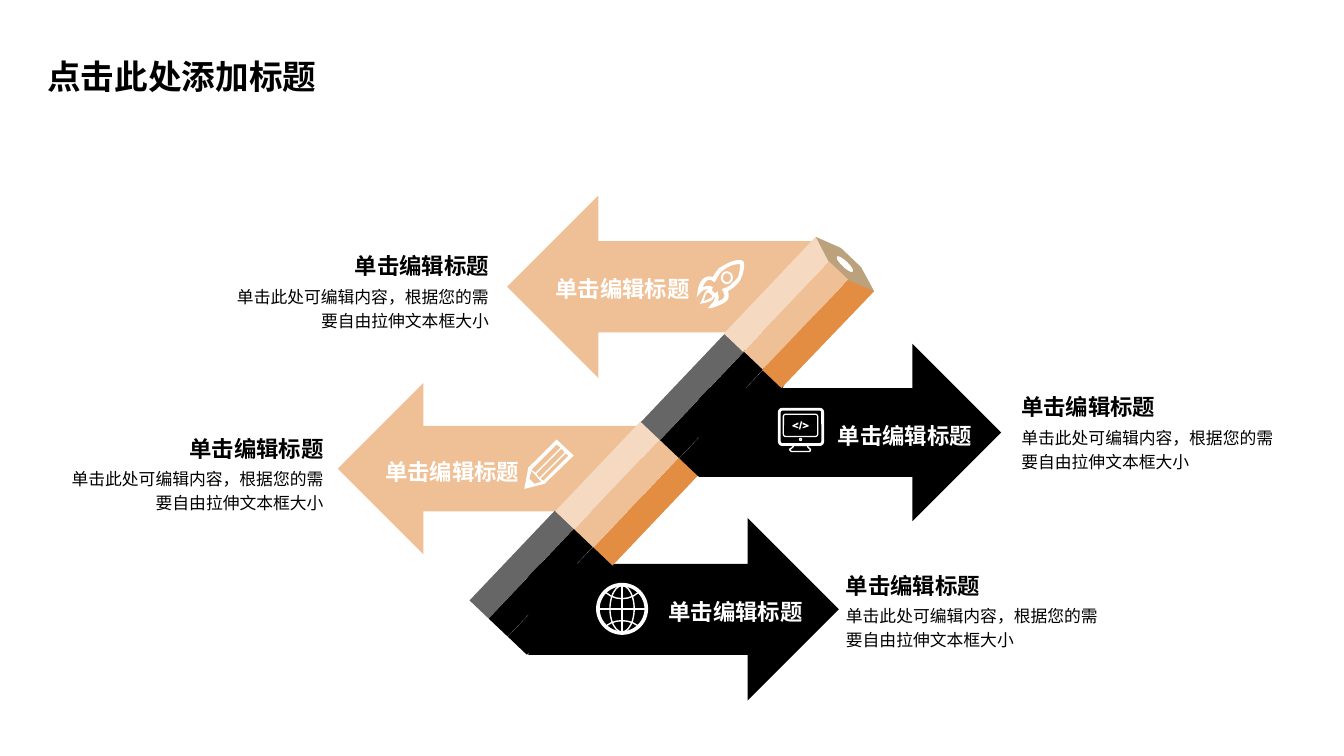
from dataclasses import dataclass

from lxml import etree
from pptx import Presentation
from pptx.dml.color import RGBColor
from pptx.enum.shapes import MSO_CONNECTOR, MSO_SHAPE
from pptx.enum.text import MSO_ANCHOR, PP_ALIGN
from pptx.oxml.ns import qn
from pptx.util import Inches, Pt

ARROW, RECT, OVAL = MSO_SHAPE.LEFT_ARROW, MSO_SHAPE.RECTANGLE, MSO_SHAPE.OVAL
ROUNDED = MSO_SHAPE.ROUNDED_RECTANGLE
STRAIGHT = MSO_CONNECTOR.STRAIGHT
LEFT, RIGHT = PP_ALIGN.LEFT, PP_ALIGN.RIGHT
TOP, MIDDLE = MSO_ANCHOR.TOP, MSO_ANCHOR.MIDDLE


@dataclass(frozen=True)
class Theme:
    black: str = "000000"
    white: str = "FFFFFF"
    gray: str = "666666"
    peach: str = "EFC096"
    pale: str = "F5D9C0"
    orange: str = "E28D42"
    wood: str = "BBA17C"
    font: str = "Arial"
    cjk_font: str = "Noto Sans CJK SC"
    title_size: int = 24
    heading_size: int = 16
    body_size: int = 12
    line_spacing: float = 1.2


def flatten(contour, steps=6):
    """Turn points and (control, control, end) curves into points in EMU."""
    points = []
    for part in contour:
        if len(part) == 2:
            points.append(part)
            continue
        x0, y0 = points[-1]
        x1, y1, x2, y2, x3, y3 = part
        for i in range(1, steps + 1):
            t = i / steps
            a, b, c, d = (1 - t) ** 3, 3 * t * (1 - t) ** 2, 3 * t * t * (1 - t), t ** 3
            points.append((a * x0 + b * x1 + c * x2 + d * x3,
                           a * y0 + b * y1 + c * y2 + d * y3))
    return [(Inches(x), Inches(y)) for x, y in points]


class SlideBuilder:
    def __init__(self, slide, theme):
        self.slide, self.theme = slide, theme

    def paint(self, shape, fill=None, line=None, width=1):
        shape.shadow.inherit = False
        if fill:
            shape.fill.solid()
            shape.fill.fore_color.rgb = RGBColor.from_string(fill)
        else:
            shape.fill.background()
        if line:
            shape.line.color.rgb = RGBColor.from_string(line)
            shape.line.width = Pt(width)
        else:
            shape.line.fill.background()

    def shape(self, kind, box, fill=None, rotation=0, line=None, width=1):
        shape = self.slide.shapes.add_shape(kind, *map(Inches, box))
        shape.rotation = rotation
        self.paint(shape, fill, line, width)
        return shape

    def outline(self, contours, fill=None, line=None, width=1, close=True):
        first, *others = [flatten(contour) for contour in contours]
        builder = self.slide.shapes.build_freeform(*first[0])
        builder.add_line_segments(first[1:], close=close)
        for points in others:
            builder.move_to(*points[0])
            builder.add_line_segments(points[1:], close=close)
        self.paint(builder.convert_to_shape(), fill, line, width)

    def line(self, x1, y1, x2, y2, color, width):
        line = self.slide.shapes.add_connector(STRAIGHT, *map(Inches, (x1, y1, x2, y2)))
        line.line.color.rgb = RGBColor.from_string(color)
        line.line.width = Pt(width)
        etree.SubElement(line._element.spPr, qn("a:effectLst"))

    def format_text(self, frame, text, size, color, bold, align, font):
        paragraph = frame.paragraphs[0]
        paragraph.text = text
        paragraph.alignment = align
        style = paragraph.font
        style.size, style.bold, style.name = Pt(size), bold, font
        style.color.rgb = RGBColor.from_string(color)
        defaults = paragraph._p.pPr.find(qn("a:defRPr"))
        etree.SubElement(defaults, qn("a:ea"), typeface=self.theme.cjk_font)

    def title(self, text, box):
        title = self.slide.shapes.title
        title.left, title.top, title.width, title.height = map(Inches, box)
        title.text_frame.word_wrap = False
        title.text_frame.vertical_anchor = MIDDLE
        self.format_text(title.text_frame, text, self.theme.title_size,
                         self.theme.black, True, LEFT, self.theme.cjk_font)

    def text(self, text, box, size, color, bold=False, align=LEFT):
        frame = self.slide.shapes.add_textbox(*map(Inches, box)).text_frame
        frame.word_wrap = True
        frame.vertical_anchor = TOP
        frame.margin_left = frame.margin_right = frame.margin_top = frame.margin_bottom = 0
        self.format_text(frame, text, size, color, bold, align, self.theme.font)
        frame.paragraphs[0].line_spacing = self.theme.line_spacing


HEADING = "单击编辑标题"
BODY = "单击此处可编辑内容，根据您的需要自由拉伸文本框大小"
HEADING_W, BODY_W = 1.42, 2.55
TILT = 313.5
STRIPE_W, STRIPE_H = 1.23, 0.26
STRIPE_DX, STRIPE_DY = 0.19, 0.18

# Contours of the rocket: hull and flame, each with its hole
ROCKET = [
    [[(6.91, 2.95), (6.92, 2.89), (6.92, 2.87, 6.94, 2.77, 7, 2.75),
      (7.02, 2.74, 7.04, 2.74, 7.07, 2.75), (7.09, 2.71, 7.11, 2.69, 7.13, 2.66),
      (7.15, 2.65, 7.18, 2.63, 7.2, 2.62), (7.27, 2.58, 7.35, 2.57, 7.37, 2.59),
      (7.39, 2.61, 7.38, 2.7, 7.35, 2.76), (7.34, 2.79, 7.32, 2.81, 7.3, 2.83),
      (7.28, 2.85, 7.25, 2.87, 7.22, 2.89), (7.23, 2.92, 7.23, 2.94, 7.22, 2.97),
      (7.19, 3.02, 7.09, 3.04, 7.08, 3.05), (7.02, 3.06), (7.06, 3.01),
      (7.08, 3, 7.09, 2.97, 7.09, 2.94), (7.08, 2.95), (7.02, 2.89), (7.02, 2.87),
      (6.99, 2.87, 6.97, 2.88, 6.95, 2.9)],
     [(7.22, 2.65), (7.2, 2.66, 7.18, 2.68, 7.16, 2.69), (7.14, 2.71, 7.12, 2.74, 7.1, 2.78),
      (7.09, 2.8), (7.07, 2.79), (7.06, 2.78, 7.03, 2.77, 7.02, 2.78),
      (7, 2.79, 6.98, 2.82, 6.97, 2.85), (7, 2.84, 7.02, 2.83, 7.05, 2.84), (7.07, 2.85),
      (7.06, 2.88), (7.09, 2.91), (7.12, 2.89), (7.12, 2.91),
      (7.13, 2.94, 7.13, 2.97, 7.12, 2.99), (7.15, 2.98, 7.17, 2.97, 7.18, 2.95),
      (7.19, 2.93, 7.18, 2.91, 7.17, 2.89), (7.16, 2.87), (7.18, 2.86),
      (7.22, 2.85, 7.25, 2.83, 7.27, 2.8), (7.29, 2.79, 7.3, 2.77, 7.32, 2.75),
      (7.34, 2.69, 7.34, 2.64, 7.34, 2.62), (7.33, 2.62, 7.27, 2.62, 7.22, 2.65)]],
    [[(6.94, 3.02), (6.95, 3), (6.96, 2.99, 6.98, 2.91, 7, 2.89),
      (7.01, 2.87, 7.05, 2.87, 7.07, 2.9), (7.09, 2.92, 7.09, 2.95, 7.07, 2.97),
      (7.06, 2.99, 6.98, 3.01, 6.96, 3.01)],
     [(7.05, 2.91), (7.04, 2.9, 7.02, 2.9, 7.01, 2.91), (7, 2.91, 6.99, 2.95, 6.98, 2.99),
      (7.01, 2.97, 7.05, 2.96, 7.06, 2.95), (7.07, 2.94, 7.07, 2.93, 7.05, 2.91)]],
]
PENCIL = [
    [(5.69, 4.52), (5.52, 4.36), (5.24, 4.64), (5.2, 4.85), (5.4, 4.8)],
    [(5.39, 4.77), (5.36, 4.75), (5.61, 4.5), (5.64, 4.52)],
    [(5.3, 4.8), (5.25, 4.75), (5.27, 4.67), (5.37, 4.78)],
    [(5.6, 4.49), (5.35, 4.74), (5.32, 4.7), (5.57, 4.45)],
    [(5.52, 4.41), (5.56, 4.44), (5.31, 4.69), (5.27, 4.66)],
]


def draw_globe(page, white):
    page.shape(OVAL, (5.93, 5.8, 0.48, 0.48), line=white, width=2.6)
    page.shape(OVAL, (6.05, 5.81, 0.24, 0.46), line=white, width=1)
    page.line(6.17, 5.8, 6.17, 6.28, white, 1)
    page.line(5.93, 6.04, 6.41, 6.04, white, 1)
    for edge, bend in ((5.88, 5.96), (6.21, 6.14)):
        page.outline([[(6.01, edge), (6.1, bend, 6.24, bend, 6.33, edge)]],
                     line=white, width=1, close=False)


def draw_monitor(page, white):
    page.shape(ROUNDED, (7.73, 4.06, 0.43, 0.35), line=white, width=2).adjustments[0] = 0.08
    page.shape(ROUNDED, (7.77, 4.11, 0.34, 0.22), line=white, width=0.9).adjustments[0] = 0.1
    page.shape(OVAL, (7.93, 4.35, 0.02, 0.02), line=white, width=0.9)
    page.outline([[(7.87, 4.42), (7.87, 4.44, 7.84, 4.45, 7.83, 4.46), (7.85, 4.48),
                   (8.03, 4.48), (8.04, 4.46), (8.03, 4.45, 8.01, 4.44, 8.01, 4.42)]],
                 line=white, width=1)
    for tip, side in ((7.86, 1), (8.02, -1)):
        back, notch = tip + 0.06 * side, tip + 0.02 * side
        page.outline([[(tip, 4.23), (back, 4.25), (back, 4.24), (notch, 4.22),
                       (back, 4.21), (back, 4.19), (tip, 4.22)]], fill=white)
    page.line(7.93, 4.26, 7.95, 4.18, white, 1)


def main():
    theme = Theme()
    presentation = Presentation()
    presentation.slide_width, presentation.slide_height = Inches(13.33), Inches(7.5)
    page = SlideBuilder(presentation.slides.add_slide(presentation.slide_layouts[5]), theme)
    page.title("点击此处添加标题", (0.37, 0.5, 3.01, 0.5))

    # Arrows
    for box, fill, rotation in (((5.24, 5.14, 3.08, 1.81), theme.black, 180),
                                ((6.93, 3.41, 3, 1.76), theme.black, 180),
                                ((5.03, 1.94, 3.05, 1.81), theme.peach, 0),
                                ((3.35, 3.8, 3.02, 1.7), theme.peach, 0)):
        page.shape(ARROW, box, fill, rotation)

    # Pencil body: three striped segments, from the bottom up
    dark = (theme.gray, theme.black, theme.black)
    light = (theme.pale, theme.peach, theme.orange)
    for segment, colors in enumerate((dark, light, dark)):
        left, top = 4.56 + 0.85 * segment, 5.47 - 0.885 * segment
        for row, color in enumerate(colors):
            page.shape(RECT, (left + row * STRIPE_DX, top + row * STRIPE_DY,
                              STRIPE_W, STRIPE_H), color, TILT)

    # Pencil end
    page.outline([[(8.12, 2.6), (8.09, 2.35), (8.34, 2.46), (8.54, 2.65),
                   (8.67, 2.89), (8.41, 2.88)]], theme.wood)
    page.outline([[(8.22, 2.6), (8.09, 2.35), (7.18, 3.31), (7.37, 3.49)]], theme.pale)
    page.shape(RECT, (7.28, 3, STRIPE_W, STRIPE_H), theme.peach, TILT)
    page.outline([[(8.67, 2.89), (8.41, 2.78), (7.56, 3.67), (7.75, 3.85)]], theme.orange)
    page.shape(OVAL, (8.35, 2.51, 0.06, 0.22), theme.white, TILT)

    # Icons
    draw_globe(page, theme.white)
    draw_monitor(page, theme.white)
    page.outline(PENCIL, theme.white)
    for contours in ROCKET:
        page.outline(contours, theme.white)
    page.shape(OVAL, (7.16, 2.7, 0.1, 0.11), line=theme.white, width=1.4)

    # Arrow labels
    for left, top in ((5.42, 2.68), (8.22, 4.13), (6.54, 5.88), (3.73, 4.49)):
        page.text(HEADING, (left, top, HEADING_W, 0.32), theme.heading_size,
                  theme.white, True, RIGHT)

    # Descriptions beside the arrow tips
    for edge, top, align in ((10.13, 3.85, LEFT), (8.39, 5.62, LEFT),
                             (3.21, 4.26, RIGHT), (4.85, 2.45, RIGHT)):
        shift = 1 if align == RIGHT else 0
        page.text(HEADING, (edge - shift * HEADING_W, top, HEADING_W, 0.32),
                  theme.heading_size, theme.black, True, align)
        page.text(BODY, (edge - shift * BODY_W, top + 0.35, BODY_W, 0.48),
                  theme.body_size, theme.black, False, align)

    presentation.save("out.pptx")


if __name__ == "__main__":
    main()
